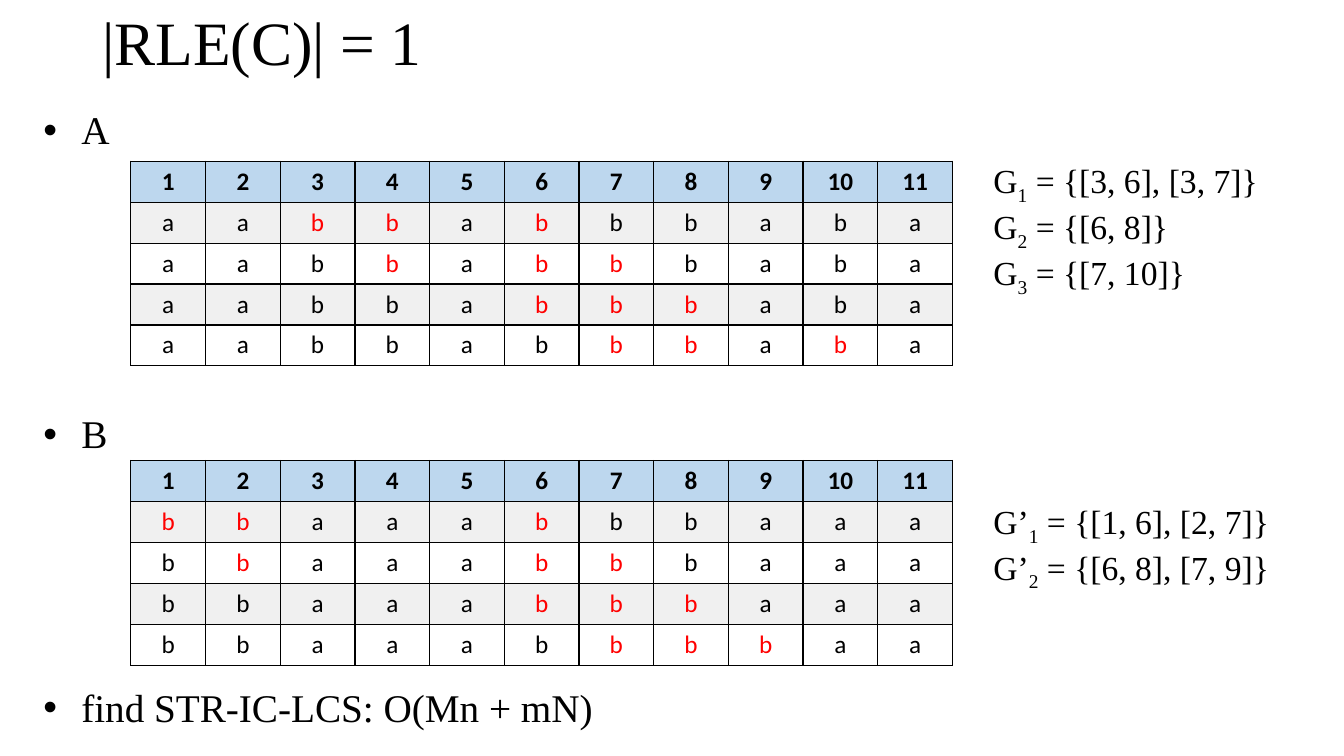
from lxml import etree
from pptx import Presentation
from pptx.dml.color import RGBColor
from pptx.enum.text import MSO_ANCHOR, MSO_AUTO_SIZE, PP_ALIGN
from pptx.oxml.ns import qn
from pptx.util import Pt

LEFT, CENTER = PP_ALIGN.LEFT, PP_ALIGN.CENTER
MIDDLE, NO_FIT = MSO_ANCHOR.MIDDLE, MSO_AUTO_SIZE.NONE
BLACK = RGBColor(0x00, 0x00, 0x00)
RED = RGBColor(0xFF, 0x00, 0x00)
WHITE = RGBColor(0xFF, 0xFF, 0xFF)
HEADER_BLUE = RGBColor(0xBD, 0xD7, 0xEE)
BAND_GRAY = RGBColor(0xF0, 0xF0, 0xF0)

HEADINGS = [str(number) for number in range(1, 12)]
# Capital letters mark the matched positions, drawn in red.
ROWS_A = ["aaBBaBbbaba", "aabBaBBbaba", "aabbaBBBaba", "aabbabBBaBa"]
ROWS_B = ["BBaaaBbbaaa", "bBaaaBBbaaa", "bbaaaBBBaaa", "bbaaabBBBaa"]
BULLETS = [("A", 0), ("B", 187), ("find STR-IC-LCS: O(Mn + mN)", 165)]
INTERVALS = [
    ("G", "1", " = {[3, 6], [3, 7]}", 0),
    ("G", "2", " = {[6, 8]}", 0),
    ("G", "3", " = {[7, 10]}", 0),
    ("G’", "1", " = {[1, 6], [2, 7]}", 145),
    ("G’", "2", " = {[6, 8], [7, 9]}", 0),
]


class SlideBuilder:
    text_font = "Times New Roman"
    table_font = "Calibri"
    column_width = Pt(53.35)
    row_height = Pt(29.25)

    def __init__(self, presentation):
        self.slide = presentation.slides.add_slide(presentation.slide_layouts[5])

    def set_font(self, paragraph, size, name=text_font, color=BLACK, bold=False):
        font = paragraph.font
        font.name, font.size, font.bold = name, Pt(size), bold
        font.color.rgb = color

    def add_title(self, text, left, top, width, height):
        title = self.slide.shapes.title
        title.left, title.top, title.width, title.height = left, top, width, height
        frame = title.text_frame
        frame.auto_size, frame.vertical_anchor = NO_FIT, MIDDLE
        frame.text = text
        paragraph = frame.paragraphs[0]
        paragraph.alignment, paragraph.line_spacing = LEFT, 0.9
        self.set_font(paragraph, 44)

    def add_text_box(self, left, top, width, height, count):
        frame = self.slide.shapes.add_textbox(left, top, width, height).text_frame
        frame.word_wrap = True
        for _ in range(count - 1):
            frame.add_paragraph()
        return frame.paragraphs

    def add_bullets(self, bullets, *box):
        paragraphs = self.add_text_box(*box, len(bullets))
        for paragraph, (text, gap) in zip(paragraphs, bullets):
            paragraph.text = text
            paragraph.line_spacing, paragraph.space_before = 0.9, Pt(gap)
            properties = paragraph._p.get_or_add_pPr()
            properties.set("marL", str(Pt(27)))
            properties.set("indent", str(-Pt(27)))
            color = etree.SubElement(properties, qn("a:buClr"))
            etree.SubElement(color, qn("a:srgbClr"), val=str(BLACK))
            etree.SubElement(properties, qn("a:buFont"), typeface="Arial")
            etree.SubElement(properties, qn("a:buChar"), char="•")
            self.set_font(paragraph, 28)

    def add_intervals(self, intervals, *box):
        paragraphs = self.add_text_box(*box, len(intervals))
        for paragraph, (name, index, value, gap) in zip(paragraphs, intervals):
            paragraph.space_before = Pt(gap)
            for text in (name, index, value):
                run = paragraph.add_run()
                run.text = text
                if text == index:
                    run._r.get_or_add_rPr().set("baseline", "-25000")
            self.set_font(paragraph, 24)

    def add_borders(self, cell):
        properties = cell._tc.get_or_add_tcPr()
        for side in ("lnL", "lnR", "lnT", "lnB"):
            line = etree.SubElement(properties, qn(f"a:{side}"), w=str(Pt(1)))
            fill = etree.SubElement(line, qn("a:solidFill"))
            etree.SubElement(fill, qn("a:srgbClr"), val=str(BLACK))

    def add_cell(self, cell, text, fill, color, bold):
        self.add_borders(cell)
        cell.fill.solid()
        cell.fill.fore_color.rgb = fill
        cell.text = text
        paragraph = cell.text_frame.paragraphs[0]
        paragraph.alignment = CENTER
        self.set_font(paragraph, 18, self.table_font, color, bold)

    def add_string_table(self, rows, left, top):
        row_count, column_count = len(rows) + 1, len(HEADINGS)
        table = self.slide.shapes.add_table(
            row_count, column_count, left, top,
            self.column_width * column_count, self.row_height * row_count).table
        table.first_row = table.horz_banding = False
        for column in table.columns:
            column.width = self.column_width
        for row in table.rows:
            row.height = self.row_height
        for column, heading in enumerate(HEADINGS):
            self.add_cell(table.cell(0, column), heading, HEADER_BLUE, BLACK, True)
        for row, letters in enumerate(rows, start=1):
            fill = BAND_GRAY if row % 2 else WHITE
            for column, letter in enumerate(letters):
                color = RED if letter.isupper() else BLACK
                self.add_cell(table.cell(row, column), letter.lower(), fill, color, False)


def main():
    presentation = Presentation()
    presentation.slide_width, presentation.slide_height = Pt(960), Pt(540)
    builder = SlideBuilder(presentation)
    builder.add_title("|RLE(C)| = 1", Pt(66), Pt(-19.5), Pt(828), Pt(104.4))
    builder.add_bullets(BULLETS, Pt(24), Pt(75.6), Pt(928.8), Pt(455.8))
    builder.add_string_table(ROWS_A, Pt(93.5), Pt(115.2))
    builder.add_string_table(ROWS_B, Pt(93.5), Pt(329))
    builder.add_intervals(INTERVALS, Pt(702.5), Pt(111), Pt(233.3), Pt(356.4))
    presentation.save("out.pptx")


if __name__ == "__main__":
    main()
